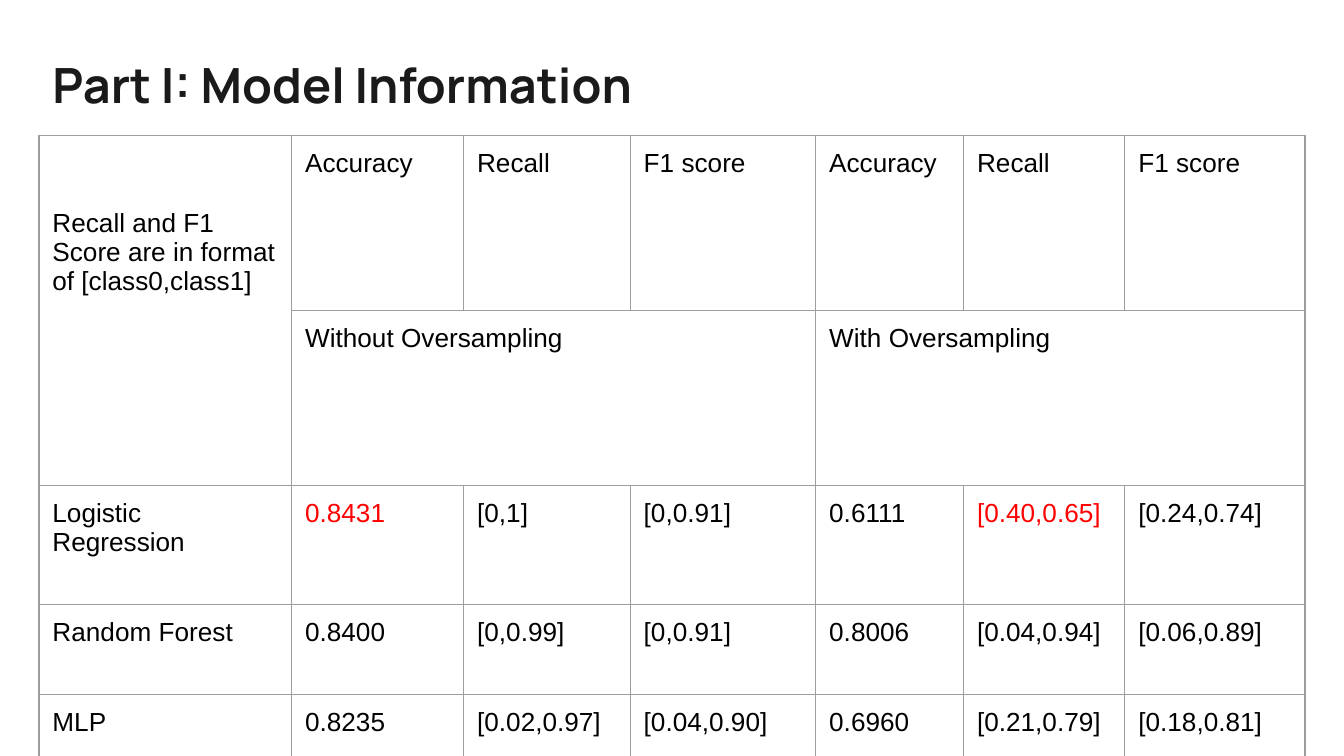
from lxml.etree import SubElement
from pptx import Presentation
from pptx.dml.color import RGBColor
from pptx.enum.text import MSO_ANCHOR, MSO_AUTO_SIZE, PP_ALIGN
from pptx.oxml.ns import qn
from pptx.util import Inches, Pt

COLORS = {"title": "1A1A1A", "text": "000000", "best": "FF0000", "border": "9E9E9E"}
INSET = 0.1
COLUMN_WIDTHS = [1.88, 1.28, 1.24, 1.38, 1.1, 1.2, 1.34]
ROW_HEIGHTS = [1.3, 1.3, 0.89, 0.67, 0.67]
METRICS = ["Accuracy", "Recall", "F1 score"]
ROWS = [
    ["Recall and F1 Score are in format of [class0,class1]", *METRICS, *METRICS],
    ["", "Without Oversampling", "", "", "With Oversampling", "", ""],
    ["Logistic Regression", "0.8431", "[0,1]", "[0,0.91]",
     "0.6111", "[0.40,0.65]", "[0.24,0.74]"],
    ["Random Forest", "0.8400", "[0,0.99]", "[0,0.91]",
     "0.8006", "[0.04,0.94]", "[0.06,0.89]"],
    ["MLP", "0.8235", "[0.02,0.97]", "[0.04,0.90]",
     "0.6960", "[0.21,0.79]", "[0.18,0.81]"],
]
BEST_CELLS = {(2, 1), (2, 5)}
MERGES = [((0, 0), (1, 0)), ((1, 1), (1, 3)), ((1, 4), (1, 6))]


def set_text(text_frame, text, font="Arial", size=14, color="text", bold=False):
    text_frame.word_wrap = True
    paragraph = text_frame.paragraphs[0]
    paragraph.alignment = PP_ALIGN.LEFT
    run = paragraph.add_run()
    run.text = text
    run.font.name = font
    run.font.size = Pt(size)
    run.font.bold = bold
    run.font.color.rgb = RGBColor.from_string(COLORS[color])


def set_insets(target, top=INSET):
    """Set the margins of a cell or a text frame."""
    target.margin_left = target.margin_right = target.margin_bottom = Inches(INSET)
    target.margin_top = Inches(top)


def set_borders(cell):
    properties = cell._tc.get_or_add_tcPr()
    for position, side in enumerate(("lnL", "lnR", "lnT", "lnB")):
        line = SubElement(properties, qn(f"a:{side}"), w=str(Pt(0.75)))
        fill = SubElement(line, qn("a:solidFill"))
        SubElement(fill, qn("a:srgbClr"), val=COLORS["border"])
        properties.insert(position, line)


def add_title(slide, text):
    title = slide.shapes.title
    title.left, title.top = Inches(0.29), Inches(0.31)
    title.width, title.height = Inches(8.42), Inches(0.88)
    frame = title.text_frame
    frame.auto_size = MSO_AUTO_SIZE.NONE
    frame.vertical_anchor = MSO_ANCHOR.TOP
    set_insets(frame)
    set_text(frame, text, font="Manrope", size=26, color="title", bold=True)


def add_results_table(slide):
    table = slide.shapes.add_table(
        len(ROWS), len(COLUMN_WIDTHS), Inches(0.29), Inches(1.01),
        Inches(sum(COLUMN_WIDTHS)), Inches(sum(ROW_HEIGHTS))).table
    table.first_row = table.horz_banding = False
    for column, width in zip(table.columns, COLUMN_WIDTHS):
        column.width = Inches(width)
    for row, height in zip(table.rows, ROW_HEIGHTS):
        row.height = Inches(height)
    for start, end in MERGES:
        table.cell(*start).merge(table.cell(*end))
    for row_index, row in enumerate(ROWS):
        for column_index, text in enumerate(row):
            position = row_index, column_index
            cell = table.cell(*position)
            cell.fill.background()
            set_borders(cell)
            set_insets(cell, top=0.54 if position == (0, 0) else INSET)
            if text:
                set_text(cell.text_frame, text,
                         color="best" if position in BEST_CELLS else "text")


def main():
    presentation = Presentation()
    presentation.slide_width = Inches(10)
    presentation.slide_height = presentation.slide_width * 9 // 16
    slide = presentation.slides.add_slide(presentation.slide_layouts[5])
    add_title(slide, "Part I: Model Information")
    add_results_table(slide)
    presentation.save("out.pptx")


if __name__ == "__main__":
    main()
